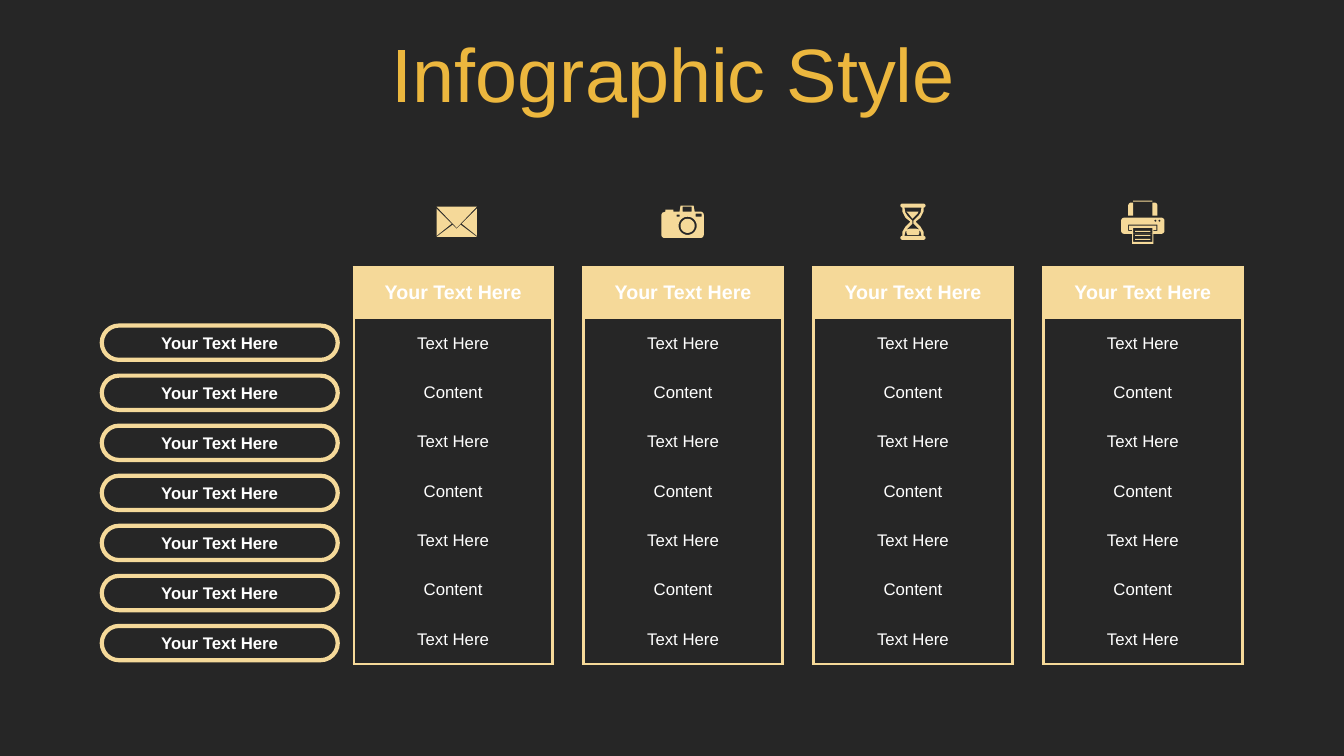
"""Build a dark slide with four one-column tables, row labels and icons."""
import math

import pptx
import pptx.util
import pptx.oxml
import pptx.oxml.ns
import pptx.dml.color
import pptx.enum.shapes
import pptx.enum.text

Inches = pptx.util.Inches
Pt = pptx.util.Pt
COLORS = {"back": "262626", "title": "ECB73E", "sand": "F5D999", "white": "FFFFFF"}
NO_GRID = "{2D5ABB26-0587-4C30-8999-92F81FD0307C}"


def color(name):
    return pptx.dml.color.RGBColor.from_string(COLORS[name])


def arc(x, y, r, start, end, steps):
    angles = [math.radians(start + (end - start) * i / steps) for i in range(steps + 1)]
    return [(x + r * math.cos(a), y + r * math.sin(a)) for a in angles]


def ring(x, y, r):
    return arc(x, y, r, 0, 360, 40)[:-1]


def box(l, t, r, b, tl=0, tr=0, br=0, bl=0):
    return (arc(l + tl, t + tl, tl, 180, 270, 6) + arc(r - tr, t + tr, tr, 270, 360, 6)
            + arc(r - br, b - br, br, 0, 90, 6) + arc(l + bl, b - bl, bl, 90, 180, 6))


def mirror(half, mid):
    return half + [(2 * mid - x, y) for x, y in reversed(half)]


class Board:
    font = "Arial"

    def __init__(self, deck):
        self.slide = deck.slides.add_slide(deck.slide_layouts[6])
        fill = self.slide.background.fill
        fill.solid()
        fill.fore_color.rgb = color("back")

    def label(self, frame, text, size, tone="white", bold=False):
        frame.text = text
        frame.word_wrap = True
        line = frame.paragraphs[0]
        line.alignment = pptx.enum.text.PP_ALIGN.CENTER
        font = line.runs[0].font
        font.name, font.size, font.bold = self.font, Pt(size), bold
        font.color.rgb = color(tone)
        return line

    def title(self, text, left, top, width, height):
        area = self.slide.shapes.add_textbox(*map(Inches, (left, top, width, height)))
        self.label(area.text_frame, text, 54, "title").line_spacing = 0.9
        area.text_frame.vertical_anchor = pptx.enum.text.MSO_ANCHOR.MIDDLE

    def pill(self, text, left, top, width, height):
        kind = pptx.enum.shapes.MSO_SHAPE.ROUNDED_RECTANGLE
        shape = self.slide.shapes.add_shape(kind, *map(Inches, (left, top, width, height)))
        shape.adjustments[0] = 0.5
        shape.shadow.inherit = False
        shape.fill.background()
        shape.line.color.rgb = color("sand")
        shape.line.width = Pt(3)
        self.label(shape.text_frame, text, 12, bold=True)
        shape.text_frame.vertical_anchor = pptx.enum.text.MSO_ANCHOR.MIDDLE

    def border(self, cell, sides):
        props = cell._tc.get_or_add_tcPr()
        for i, side in enumerate(sides):
            props.insert(i, pptx.oxml.parse_xml(
                f'<a:ln{side} {pptx.oxml.ns.nsdecls("a")} w="{Pt(2.25)}"><a:solidFill>'
                f'<a:srgbClr val="{COLORS["sand"]}"/></a:solidFill></a:ln{side}>'))

    def table(self, texts, left, top, width, head, row):
        count = len(texts)
        height = head + row * (count - 1)
        frame = self.slide.shapes.add_table(
            count, 1, *map(Inches, (left, top, width, height)))
        table = frame.table
        table.first_row = table.horz_banding = False
        table._tbl.xpath("./a:tblPr/a:tableStyleId")[0].text = NO_GRID
        for i, text in enumerate(texts):
            first, last = i == 0, i == count - 1
            table.rows[i].height = Inches(head if first else row)
            cell = table.cell(i, 0)
            self.label(cell.text_frame, text, 14 if first else 12, bold=first)
            cell.vertical_anchor = pptx.enum.text.MSO_ANCHOR.MIDDLE
            if first:
                cell.fill.solid()
                cell.fill.fore_color.rgb = color("sand")
            else:
                cell.fill.background()
            self.border(cell, "LR" + "T" * first + "B" * last)

    def icon(self, loops):
        pen = None
        for loop in loops:
            dots = [(x * 1000, y * 1000) for x, y in loop]
            if pen is None:
                pen = self.slide.shapes.build_freeform(*dots[0], scale=Inches(1) / 1000)
            else:
                pen.move_to(*dots[0])
            pen.add_line_segments(dots[1:], close=True)
        shape = pen.convert_to_shape()
        shape.shadow.inherit = False
        shape.fill.solid()
        shape.fill.fore_color.rgb = color("sand")
        shape.line.fill.background()


def mail():
    return [[(4.57, 2.23), (4.73, 2.35), (4.33, 2.35), (4.49, 2.23), (4.53, 2.27)],
            [(4.73, 2.07), (4.73, 2.34), (4.58, 2.22)],
            [(4.33, 2.07), (4.48, 2.22), (4.33, 2.34)],
            [(4.33, 2.05), (4.73, 2.05), (4.53, 2.26)]]


def camera():
    body = (box(6.56, 2.1, 6.98, 2.36, 0.04, 0.03, 0.03, 0.03)[7:]
            + [(6.56, 2.13), (6.57, 2.11), (6.6, 2.1), (6.6, 2.08), (6.68, 2.08),
               (6.68, 2.1), (6.74, 2.1), (6.75, 2.04), (6.88, 2.04), (6.89, 2.1)])
    return [body, ring(6.82, 2.24, 0.09), ring(6.82, 2.24, 0.07),
            box(6.71, 2.13, 6.74, 2.15), box(6.9, 2.12, 6.96, 2.15),
            box(6.77, 2.05, 6.86, 2.1)]


def timer():
    mid = 9.055
    glass = [(8.95, 2.06), (8.95, 2.1), (8.98, 2.16), (9.03, 2.2),
             (8.98, 2.25), (8.95, 2.3), (8.95, 2.34)]
    hole = [(8.97, 2.06), (8.98, 2.11), (9, 2.14), (9.05, 2.19),
            (9.05, 2.22), (9, 2.27), (8.98, 2.3), (8.97, 2.34)]
    sand = [(9, 2.33), (8.99, 2.31), (8.99, 2.28), (9.02, 2.27)]
    return [box(8.93, 2.02, 9.18, 2.06, *[0.02] * 4), box(8.93, 2.34, 9.18, 2.38, *[0.02] * 4),
            mirror(glass, mid), mirror(hole, mid), mirror(sand, mid),
            [(8.99, 2.1), (9.11, 2.1), (9.1, 2.12), (9.05, 2.17), (9.01, 2.12)]]


def printer():
    mid = 11.335
    side = box(11.19, 2.01, 11.24, 2.14, 0.03)
    slot = [(11.2, 2.24), (11.2, 2.28), (11.23, 2.28),
            (11.23, 2.29), (11.19, 2.29), (11.19, 2.23)]
    paper = [(11.24, 2.26), (11.24, 2.4)]
    body = box(11.12, 2.16, 11.55, 2.32, *[0.03] * 4)
    lines = [box(11.26, y, 11.41, y + 0.01) for y in (2.29, 2.33, 2.37)]
    lamps = [ring(x, 2.19, 0.01) for x in (11.46, 11.5)]
    return [body, side, [(2 * mid - x, y) for x, y in side],
            box(11.24, 1.99, 11.43, 2), box(11.23, 2.32, 11.44, 2.42),
            mirror(paper, mid), mirror(slot, mid), *lines, *lamps]


def main():
    deck = pptx.Presentation()
    deck.slide_width, deck.slide_height = Inches(13.33), Inches(7.5)
    board = Board(deck)
    board.title("Infographic Style", 0.35, 0.31, 12.66, 0.92)
    texts = ["Your Text Here"] + ["Text Here", "Content"] * 3 + ["Text Here"]
    for i, icon in enumerate((mail, camera, timer, printer)):
        board.table(texts, 3.51 + 2.28 * i, 2.65, 1.97, 0.51, 0.49)
        board.icon(icon())
    for i in range(7):
        board.pill("Your Text Here", 1.01, 3.23 + 2.98 / 6 * i, 2.34, 0.34)
    deck.save("out.pptx")


if __name__ == "__main__":
    main()
